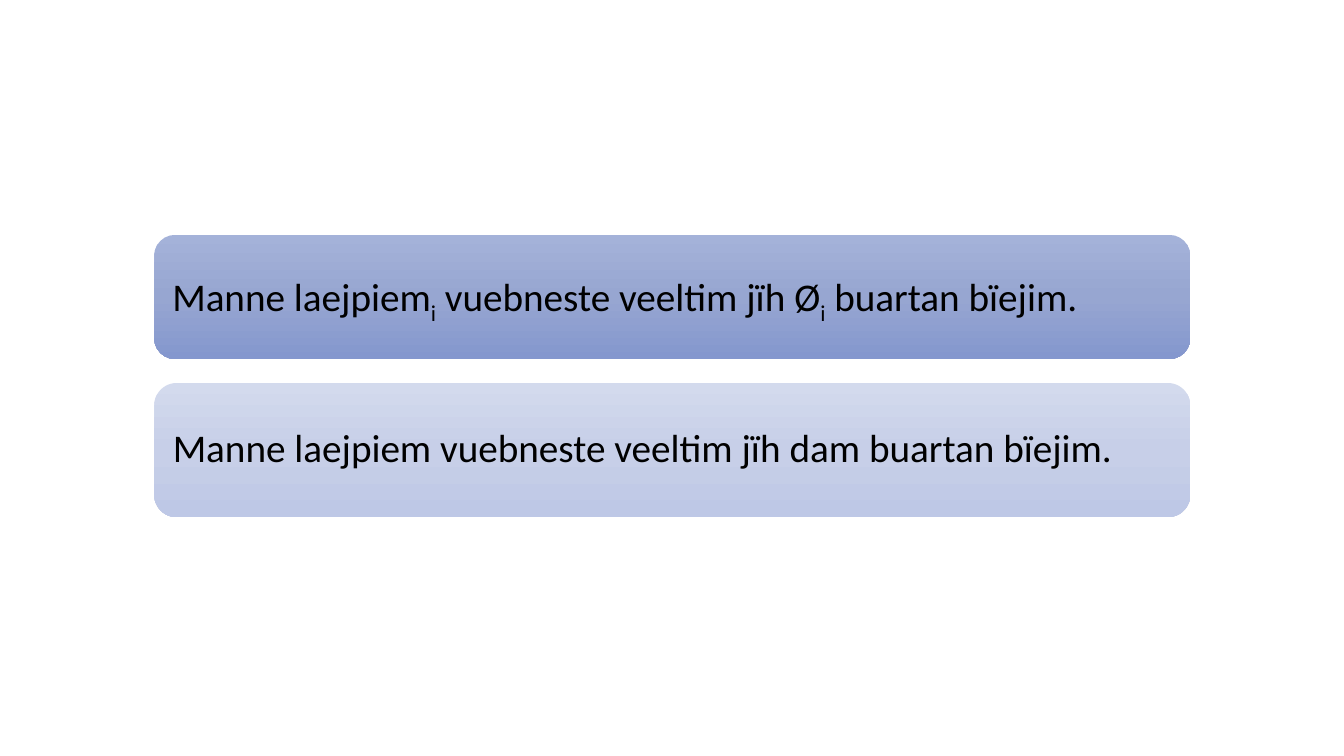
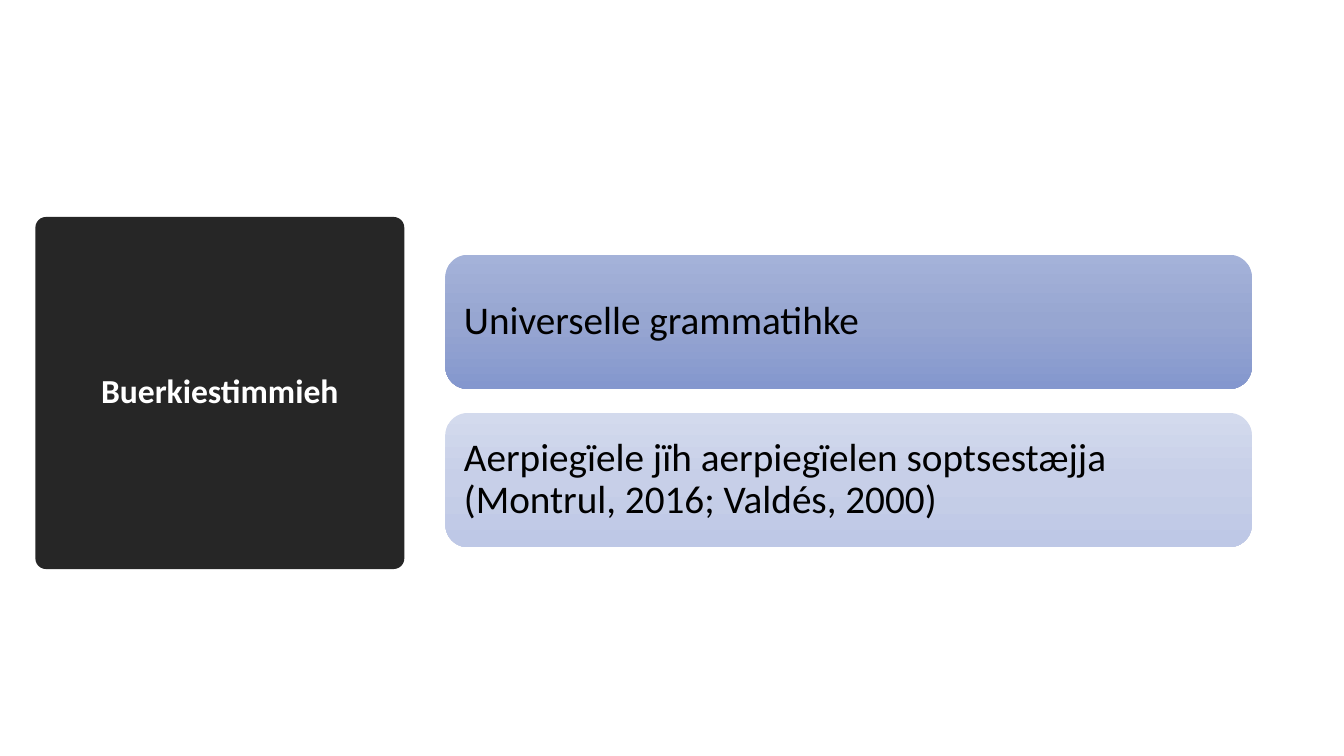
from copy import deepcopy

from pptx import Presentation
from pptx.dml.color import RGBColor
from pptx.enum import shapes, text
from pptx.util import Pt

WHITE = RGBColor(0xFF, 0xFF, 0xFF)
BLACK = RGBColor(0x00, 0x00, 0x00)
CHARCOAL = RGBColor(0x26, 0x26, 0x26)
DEEP_BLUE = (RGBColor(0xA4, 0xB2, 0xD9), RGBColor(0x97, 0xA6, 0xD1), RGBColor(0x84, 0x97, 0xCE))
PALE_BLUE = (RGBColor(0xD3, 0xDA, 0xED), RGBColor(0xC7, 0xCF, 0xE8), RGBColor(0xBE, 0xC8, 0xE6))

FONT = "Calibri"
CARD_HEIGHT = 95.8
CARD_GAP = 17.2


class Deck:
    def __init__(self):
        self.deck = Presentation()
        self.deck.slide_width, self.deck.slide_height = Pt(960), Pt(540)
        self.page = None

    def add_page(self):
        self.page = self.deck.slides.add_slide(self.deck.slide_layouts[6])

    def rounded_box(self, left, top, width, height):
        box = self.page.shapes.add_shape(
            shapes.MSO_SHAPE.ROUNDED_RECTANGLE, Pt(left), Pt(top), Pt(width), Pt(height))
        box.shadow.inherit = False
        box.line.fill.background()
        return box

    def set_text(self, box, spans, size, color, align, bold=False):
        """Fill the box with one paragraph; every second span is a subscript."""
        frame = box.text_frame
        frame.word_wrap = True
        frame.vertical_anchor = text.MSO_ANCHOR.MIDDLE
        para = frame.paragraphs[0]
        para.alignment = align
        para.line_spacing = 0.9
        for index, words in enumerate(spans):
            span = para.add_run()
            span.text = words
            span.font.name = FONT
            span.font.size = Pt(size)
            span.font.bold = bold
            span.font.color.rgb = color
            if index % 2:
                span.font._element.set("baseline", "-25000")

    def shade(self, box, colors):
        """Three-colour gradient from top to bottom."""
        box.fill.gradient()
        box.fill.gradient_angle = 270
        stop_list = box.element.spPr.find(".//{*}gsLst")
        stop_list.insert(1, deepcopy(stop_list[0]))
        for stop, color, position in zip(box.fill.gradient_stops, colors, (0, 0.5, 1)):
            stop.color.rgb = color
            stop.position = position

    def card(self, left, top, width, height, colors, spans):
        box = self.rounded_box(left, top, width, height)
        self.shade(box, colors)
        box.text_frame.margin_left = box.text_frame.margin_right = Pt(8.6)
        self.set_text(box, spans, 28, BLACK, text.PP_ALIGN.LEFT)

    def card_pair(self, left, top, width, first, second, first_height=CARD_HEIGHT):
        self.card(left, top, width, first_height, DEEP_BLUE, first)
        self.card(left, top + first_height + CARD_GAP, width, CARD_HEIGHT, PALE_BLUE, second)

    def title_block(self, title):
        box = self.rounded_box(25.3, 155, 263.5, 251.5)
        box.adjustments[0] = 0.03
        box.fill.solid()
        box.fill.fore_color.rgb = CHARCOAL
        self.set_text(box, [title], 24, WHITE, text.PP_ALIGN.CENTER, bold=True)


def main():
    deck = Deck()

    deck.add_page()
    deck.card_pair(
        110.2, 167.8, 740,
        ["Manne laejpiem", "i", " vuebneste veeltim jïh Ø", "i", " buartan bïejim."],
        ["Manne laejpiem vuebneste veeltim jïh dam buartan bïejim."],
        first_height=88.6)

    deck.add_page()
    deck.title_block("Buerkiestimmieh")
    deck.card_pair(
        318.2, 182, 576,
        ["Universelle grammatihke"],
        ["Aerpiegïele jïh aerpiegïelen soptsestæjja (Montrul, 2016; Valdés, 2000)"])

    deck.deck.save("out.pptx")


if __name__ == "__main__":
    main()
